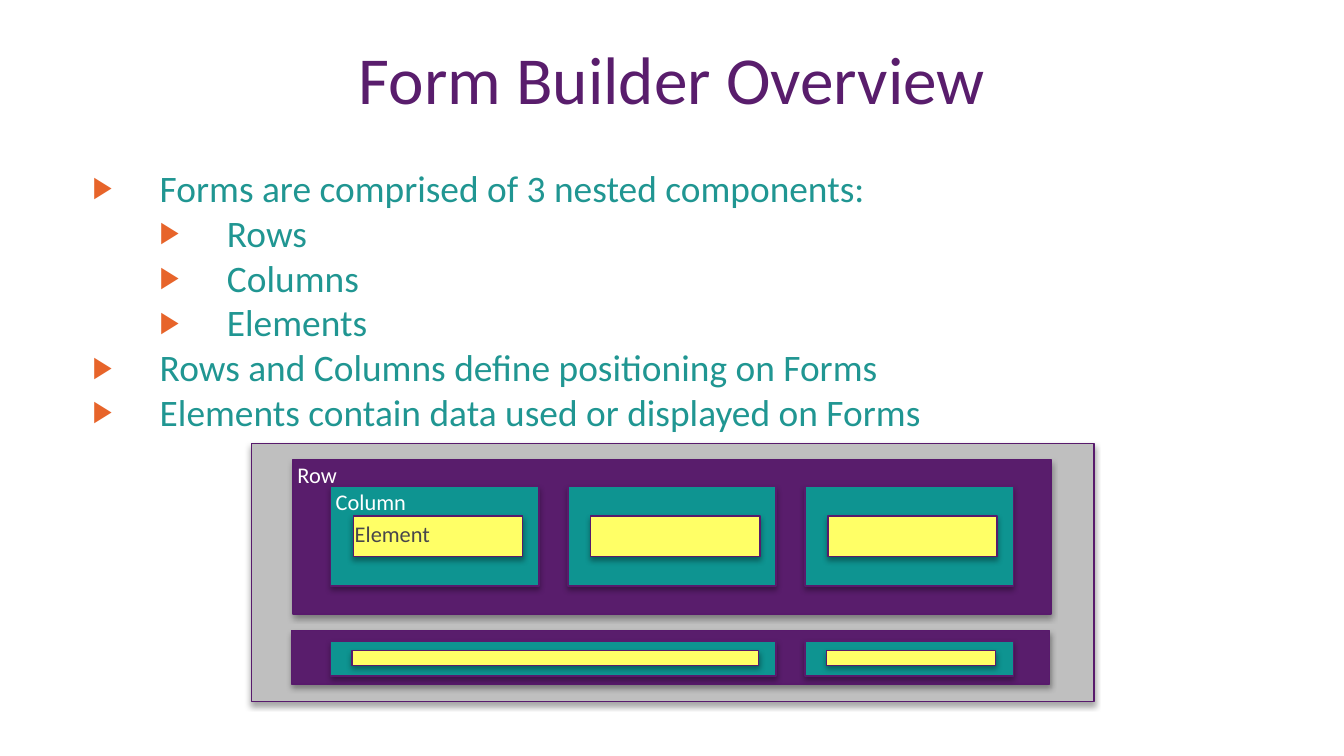
from lxml.etree import SubElement
from pptx import Presentation
from pptx.dml.color import RGBColor
from pptx.enum.shapes import MSO_SHAPE
from pptx.enum.text import PP_ALIGN
from pptx.oxml import parse_xml
from pptx.oxml.ns import nsdecls, qn
from pptx.util import Inches, Pt

COLORS = {
    "title": "591D6C", "body": "209692", "bullet": "E7642A",
    "form": "BFBFBF", "row": "591D6C", "column": "0E9491",
    "element": "FFFF66", "edge": "581A6C", "light": "FFFFFF", "dark": "48464B",
}
PITCH, COL_WIDTH = 3.53 / 2, 1.55
BULLETS = [
    (0, "Forms are comprised of 3 nested components:"),
    (1, "Rows"),
    (1, "Columns"),
    (1, "Elements"),
    (0, "Rows and Columns define positioning on Forms"),
    (0, "Elements contain data used or displayed on Forms"),
]


def paint(name):
    """Return the named colour."""
    return RGBColor.from_string(COLORS[name])


def style(para, size, color):
    """Format every run of a paragraph."""
    for run in para.runs:
        run.font.name = "Calibri"
        run.font.size = Pt(size)
        run.font.color.rgb = paint(color)


def add_text(slide, box, text, size, color):
    """Add a centred line of text."""
    frame = slide.shapes.add_textbox(*map(Inches, box)).text_frame
    frame.word_wrap = True
    frame.text = text
    para = frame.paragraphs[0]
    para.alignment = PP_ALIGN.CENTER
    style(para, size, color)


def add_block(slide, box, color):
    """Add an outlined rectangle with a soft shadow below."""
    shape = slide.shapes.add_shape(MSO_SHAPE.RECTANGLE, *map(Inches, box))
    shape.fill.solid()
    shape.fill.fore_color.rgb = paint(color)
    shape.line.color.rgb = paint("edge")
    shape.line.width = Pt(0.75)
    shape._element.spPr.append(parse_xml(
        f'<a:effectLst {nsdecls("a")}>'
        f'<a:outerShdw blurRad="{Pt(3.1)}" dist="{Pt(1.8)}" dir="5400000" rotWithShape="0">'
        '<a:srgbClr val="000000"><a:alpha val="35000"/></a:srgbClr>'
        '</a:outerShdw></a:effectLst>'))


def add_list(slide, box):
    """Add the two-level bullet list."""
    frame = slide.shapes.add_textbox(*map(Inches, box)).text_frame
    frame.word_wrap = True
    for i, (level, text) in enumerate(BULLETS):
        para = frame.add_paragraph() if i else frame.paragraphs[0]
        para.text = text
        para.level = level
        props = para._p.get_or_add_pPr()
        props.set("marL", str(Inches(0.69 + 0.5 * level)))
        props.set("indent", str(Inches(-0.5)))
        tint = SubElement(props, qn("a:buClr"))
        SubElement(tint, qn("a:srgbClr"), val=COLORS["bullet"])
        SubElement(props, qn("a:buSzPct"), val="80000")
        SubElement(props, qn("a:buFont"), typeface="Arial")
        SubElement(props, qn("a:buChar"), char="▶")
        style(para, 20, "body")


def add_row(slide, box, spans, column, element, labels=False):
    """Add a row whose columns span grid tracks and each hold an element."""
    left, top, _, _ = box
    col_x, col_y, col_high = column
    dx, dy, high = element
    first, col_top = left + col_x, top + col_y
    cols, track = [], 0
    for span in spans:
        cols.append((first + PITCH * track, COL_WIDTH + PITCH * (span - 1)))
        track += span
    add_block(slide, box, "row")
    if labels:
        add_text(slide, (left - 0.22, top - 0.04, 0.8, 0.3), "Row", 12, "light")
    for x, width in cols:
        add_block(slide, (x, col_top, width, col_high), "column")
    if labels:
        add_text(slide, (first - 0.1, col_top - 0.04, 0.8, 0.3), "Column", 12, "light")
    for x, width in cols:
        add_block(slide, (x + dx, col_top + dy, width - 0.29, high), "element")
    if labels:
        add_text(slide, (first + 0.06, col_top + 0.2, 0.8, 0.3), "Element", 12, "dark")


def add_form(slide, box):
    """Add the form diagram with its two rows."""
    left, top, _, _ = box
    add_block(slide, box, "form")
    add_row(slide, (left + 0.31, top + 0.12, 5.64, 1.15), (1, 1, 1),
            (0.28, 0.2, 0.74), (0.17, 0.22, 0.3), True)
    add_row(slide, (left + 0.3, top + 1.39, 5.64, 0.4), (2, 1),
            (0.29, 0.08, 0.26), (0.16, 0.07, 0.11))


def main():
    """Build and save the slide."""
    deck = Presentation()
    deck.slide_width = Inches(10)
    deck.slide_height = deck.slide_width * 9 // 16
    slide = deck.slides.add_slide(deck.slide_layouts[6])
    add_text(slide, (0, 0.23, 10, 0.71), "Form Builder Overview", 36, "title")
    add_list(slide, (0.4, 1.18, 9.21, 2.12))
    add_form(slide, (1.87, 3.3, 6.27, 1.92))
    deck.save("out.pptx")


if __name__ == "__main__":
    main()
